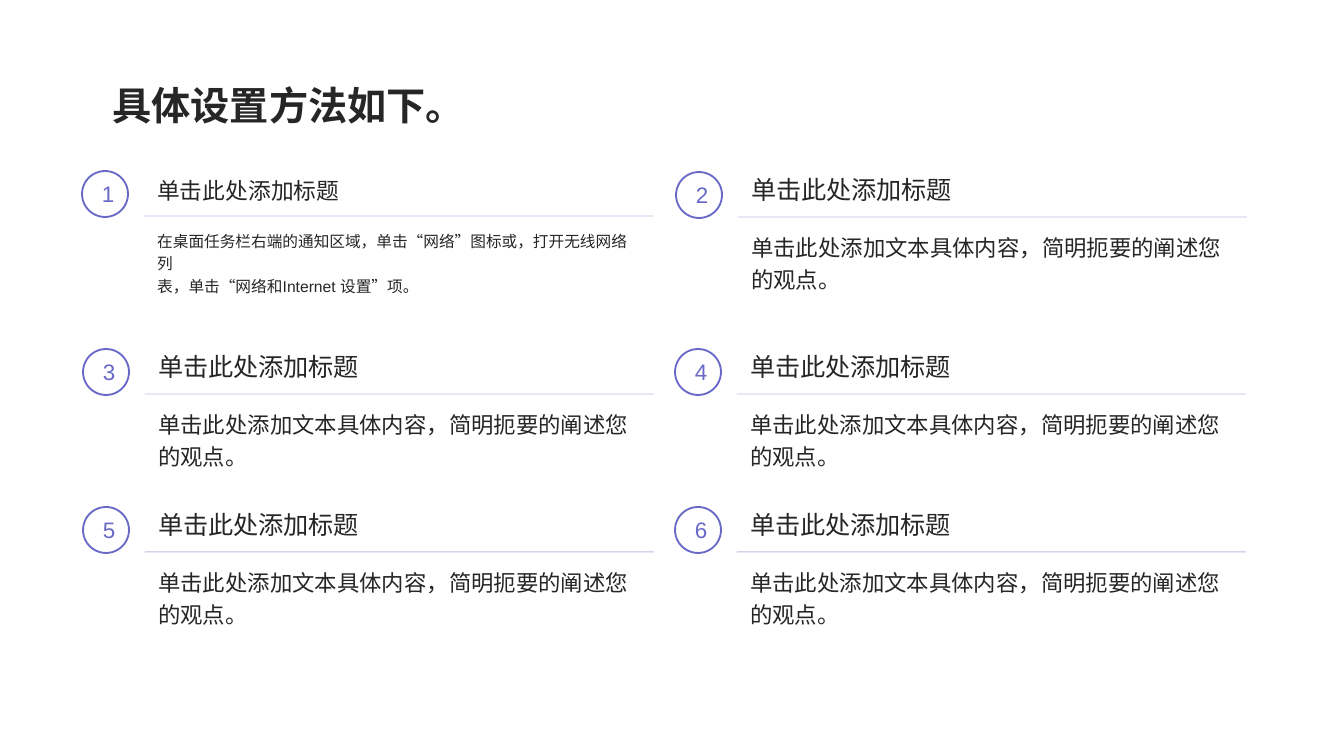
import pptx
import pptx.dml.color
import pptx.enum.shapes
import pptx.enum.text
import pptx.oxml.ns
import pptx.util
from lxml import etree

PX = 914400 / 134.4
INK = "262626"
VIOLET = "6969C7"
HEADING = "单击此处添加标题"
PLACEHOLDER = ["单击此处添加文本具体内容，简明扼要的阐述您的观点。"]
NETWORK_STEPS = [
    "在桌面任务栏右端的通知区域，单击“网络”图标或，打开无线网络列",
    "表，单击“网络和Internet 设置”项。",
]


def px(length):
    return pptx.util.Emu(round(length * PX))


def rgb(value):
    return pptx.dml.color.RGBColor.from_string(value)


def add_run(paragraph, text, size, color, bold=False):
    run = paragraph.add_run()
    run.text = text
    run.font.size = pptx.util.Pt(size)
    run.font.name = "Arial"
    run.font.bold = bold
    run.font.color.rgb = rgb(color)


def add_text(slide, box, lines, size, spacing=1.0, bold=False):
    frame = slide.shapes.add_textbox(*map(px, box)).text_frame
    frame.word_wrap = True
    for index, line in enumerate(lines):
        paragraph = frame.add_paragraph() if index else frame.paragraphs[0]
        paragraph.line_spacing = spacing
        add_run(paragraph, line, size, INK, bold)


def add_rule(slide, left, top, width):
    """Draw a thin, half-transparent horizontal line."""
    rule = slide.shapes.add_connector(
        pptx.enum.shapes.MSO_CONNECTOR.STRAIGHT,
        px(left), px(top), px(left + width), px(top))
    rule.line.width = pptx.util.Pt(0.5)
    rule.line.color.rgb = rgb(VIOLET)
    qn = pptx.oxml.ns.qn
    properties = rule._element.spPr
    color = properties.find(".//" + qn("a:srgbClr"))
    etree.SubElement(color, qn("a:alpha"), val="44000")
    etree.SubElement(properties, qn("a:effectLst"))


def add_badge(slide, left, top, size, number):
    badge = slide.shapes.add_shape(
        pptx.enum.shapes.MSO_SHAPE.OVAL, px(left), px(top), px(size), px(size))
    badge.shadow.inherit = False
    badge.fill.background()
    badge.line.color.rgb = rgb(VIOLET)
    badge.line.width = pptx.util.Pt(1)
    frame = badge.text_frame
    frame.vertical_anchor = pptx.enum.text.MSO_ANCHOR.MIDDLE
    paragraph = frame.paragraphs[0]
    paragraph.alignment = pptx.enum.text.PP_ALIGN.CENTER
    add_run(paragraph, str(number), 12, VIOLET)


def add_step(slide, box, number, body, heading_size=13.5, heading_spacing=1.0,
             body_size=12):
    """Place a numbered badge with a ruled heading and body text beside it."""
    left, top, width = box
    text_left = left + 62
    text_width = width - 62
    add_rule(slide, text_left, top + 49, text_width)
    add_text(slide, (text_left, top, text_width, 46), [HEADING],
             heading_size, heading_spacing)
    add_text(slide, (text_left, top + 54, text_width, 86), body, body_size, 1.2)
    add_badge(slide, left, top + 4, 46, number)


def main():
    deck = pptx.Presentation()
    deck.slide_width, deck.slide_height = px(1344), px(756)
    slide = deck.slides.add_slide(deck.slide_layouts[6])

    add_step(slide, (82, 167, 571), 1, NETWORK_STEPS, 12.2, 1.1, 8.4)
    add_step(slide, (676, 168, 571), 2, PLACEHOLDER)
    number = 3
    for top in (345, 503):
        for left in (83, 675):
            add_step(slide, (left, top, 571), number, PLACEHOLDER)
            number += 1
    add_text(slide, (99, 65, 1149, 87), ["具体设置方法如下。"], 21, 1.2, True)

    deck.save("out.pptx")


if __name__ == "__main__":
    main()
